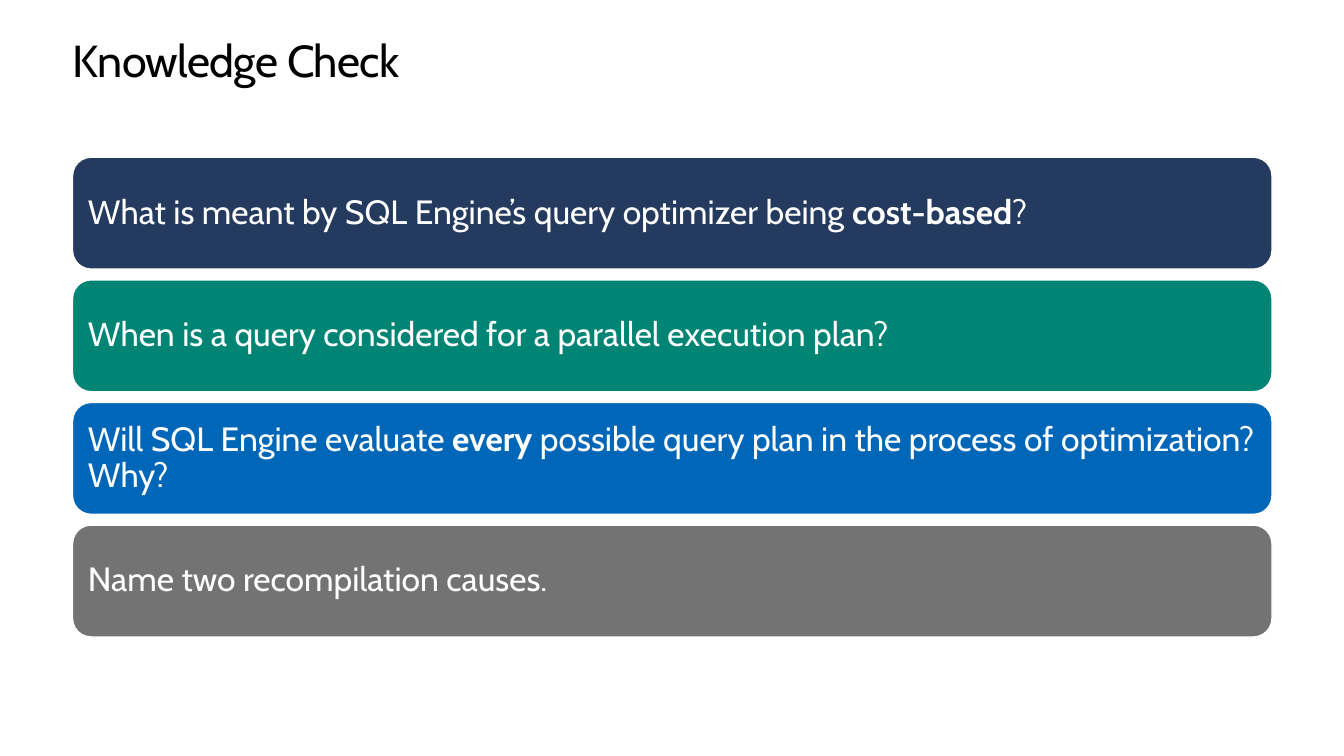
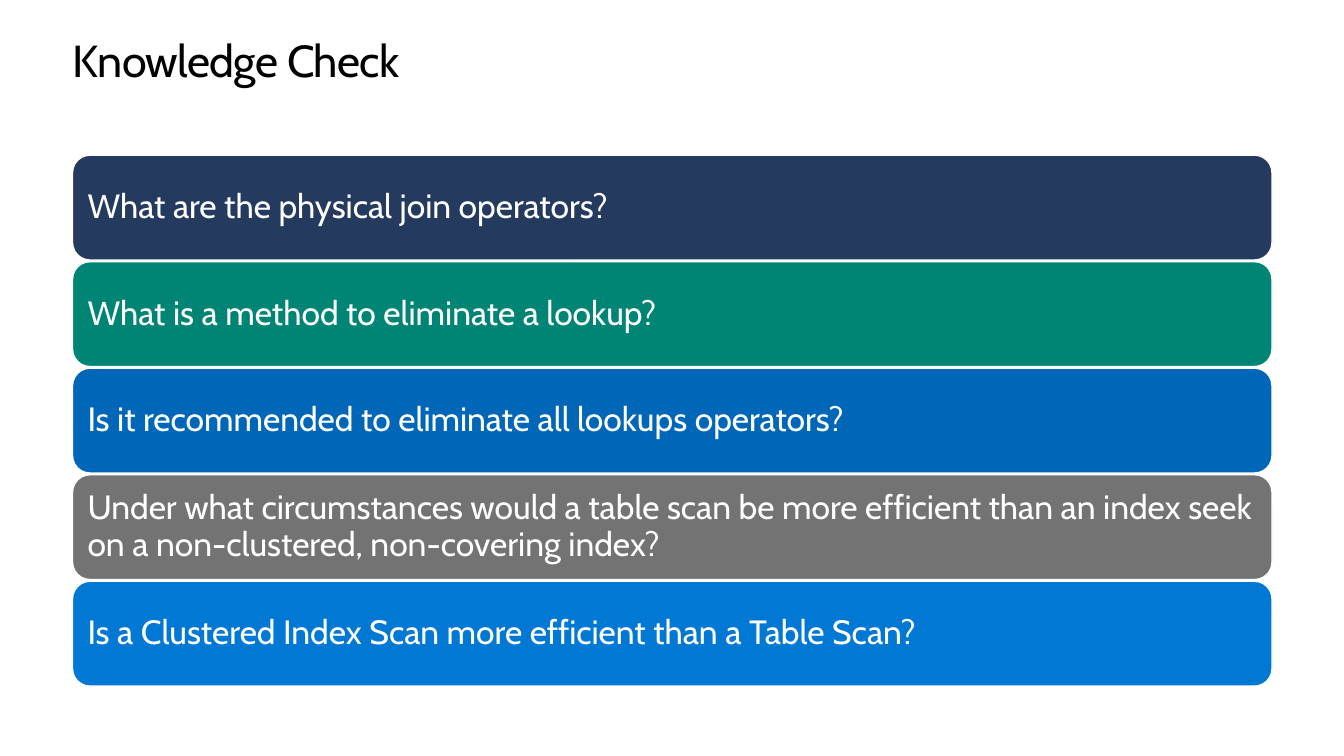
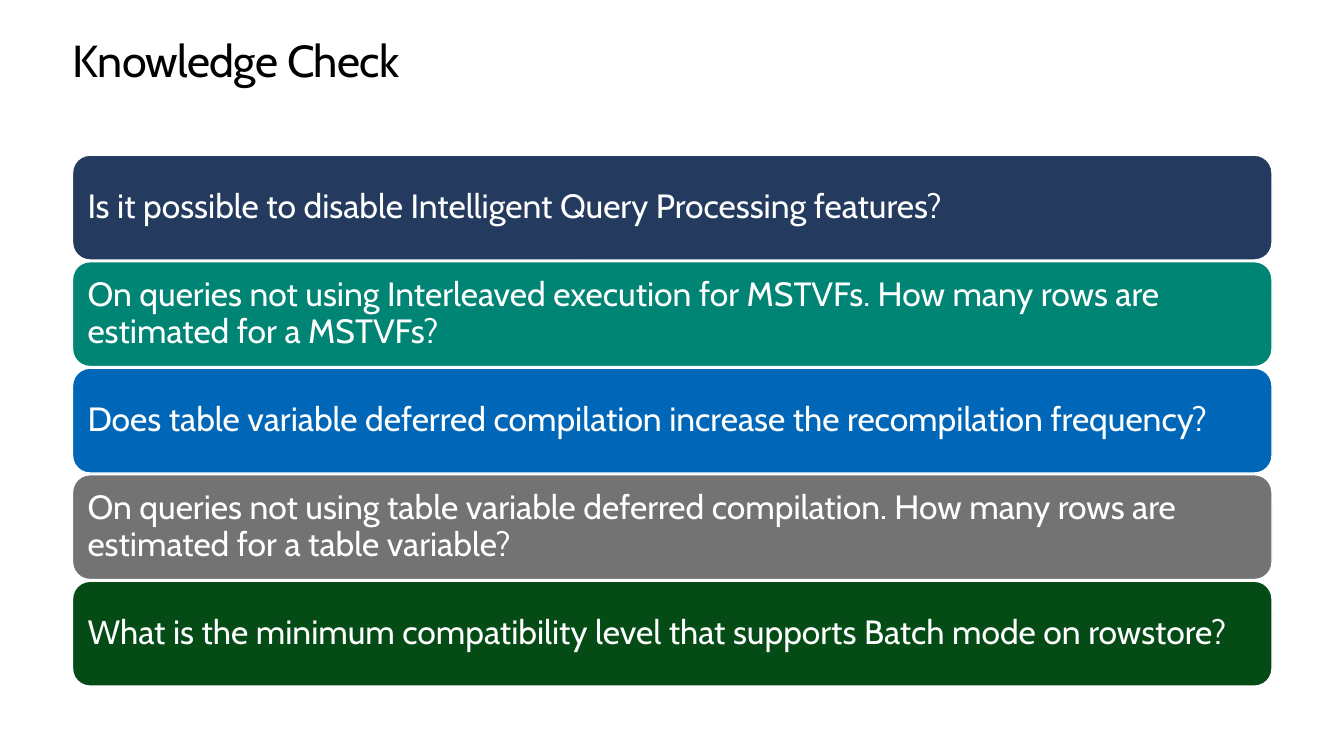
import pptx
import pptx.dml.color
import pptx.enum.shapes
import pptx.enum.text
import pptx.util


class Theme:
    font = "Cabin"
    ink = "000000"
    paper = "FFFFFF"
    navy, teal, blue, grey = "243A5E", "008575", "0067B8", "737373"
    azure, green = "0078D4", "054B16"
    title_size, question_size = 32, 24
    title_leading, question_leading = pptx.util.Pt(36.2), 0.9
    title_tracking = -50
    margin, width = 5.4, 89.25
    title_top, title_height = 4.67, 6.67


class Deck:
    """Draw quiz slides on a grid of 100 columns by 100 rows."""

    def __init__(self):
        self.prs = pptx.Presentation()
        self.prs.slide_width = pptx.util.Inches(13.33)
        self.prs.slide_height = pptx.util.Inches(7.5)
        self.s = None

    def box(self, top, height):
        col, row = self.prs.slide_width / 100, self.prs.slide_height / 100
        return (round(Theme.margin * col), round(top * row),
                round(Theme.width * col), round(height * row))

    def color(self, value):
        return pptx.dml.color.RGBColor.from_string(value)

    def style(self, p, size, color, leading):
        p.alignment = pptx.enum.text.PP_ALIGN.LEFT
        p.line_spacing = leading
        p.font.name = Theme.font
        p.font.size = pptx.util.Pt(size)
        p.font.color.rgb = self.color(color)

    def slide(self, title):
        self.s = self.prs.slides.add_slide(self.prs.slide_layouts[6])
        self.title(title)

    def title(self, text):
        tf = self.s.shapes.add_textbox(*self.box(Theme.title_top, Theme.title_height)).text_frame
        tf.word_wrap = True
        tf.auto_size = pptx.enum.text.MSO_AUTO_SIZE.SHAPE_TO_FIT_TEXT
        tf.margin_left = tf.margin_top = tf.margin_right = tf.margin_bottom = 0
        p = tf.paragraphs[0]
        r = p.add_run()
        r.text = text
        r._r.get_or_add_rPr().set("spc", str(Theme.title_tracking))
        self.style(p, Theme.title_size, Theme.ink, Theme.title_leading)

    def bar(self, top, height, fill, question):
        sp = self.s.shapes.add_shape(
            pptx.enum.shapes.MSO_SHAPE.ROUNDED_RECTANGLE, *self.box(top, height))
        sp.shadow.inherit = False
        sp.fill.solid()
        sp.fill.fore_color.rgb = self.color(fill)
        sp.line.color.rgb = self.color(Theme.paper)
        sp.line.width = pptx.util.Pt(1)
        tf = sp.text_frame
        tf.word_wrap = True
        tf.vertical_anchor = pptx.enum.text.MSO_ANCHOR.MIDDLE
        tf.margin_left = tf.margin_top = tf.margin_right = tf.margin_bottom = pptx.util.Inches(0.1)
        p = tf.paragraphs[0]
        for i, part in enumerate(question.split("**")):
            r = p.add_run()
            r.text = part
            if i % 2:
                r.font.bold = True
        self.style(p, Theme.question_size, Theme.paper, Theme.question_leading)

    def quiz(self, top, height, pitch, last_fill, questions):
        self.slide("Knowledge Check")
        fills = [Theme.navy, Theme.teal, Theme.blue, Theme.grey, last_fill]
        for i, (fill, question) in enumerate(zip(fills, questions)):
            self.bar(top + i * pitch, height, fill, question)


def main():
    deck = Deck()
    deck.quiz(20.8, 14.8, 16.22, None, [
        "What is meant by SQL Engine’s query optimizer being **cost-based**?",
        "When is a query considered for a parallel execution plan?",
        "Will SQL Engine evaluate **every** possible query plan in the process of optimization? Why?",
        "Name two recompilation causes.",
    ])
    five_bars = (20.53, 13.87, 14.09)
    deck.quiz(*five_bars, Theme.azure, [
        "What are the physical join operators?",
        "What is a method to eliminate a lookup?",
        "Is it recommended to eliminate all lookups operators?",
        "Under what circumstances would a table scan be more efficient than an index seek "
        "on a non-clustered, non-covering index?",
        "Is a Clustered Index Scan more efficient than a Table Scan?",
    ])
    deck.quiz(*five_bars, Theme.green, [
        "Is it possible to disable Intelligent Query Processing features?",
        "On queries not using Interleaved execution for MSTVFs. How many rows are "
        "estimated for a MSTVFs?",
        "Does table variable deferred compilation increase the recompilation frequency?",
        "On queries not using table variable deferred compilation. How many rows are "
        "estimated for a table variable?",
        "What is the minimum compatibility level that supports Batch mode on rowstore?",
    ])
    deck.prs.save("out.pptx")


if __name__ == "__main__":
    main()
